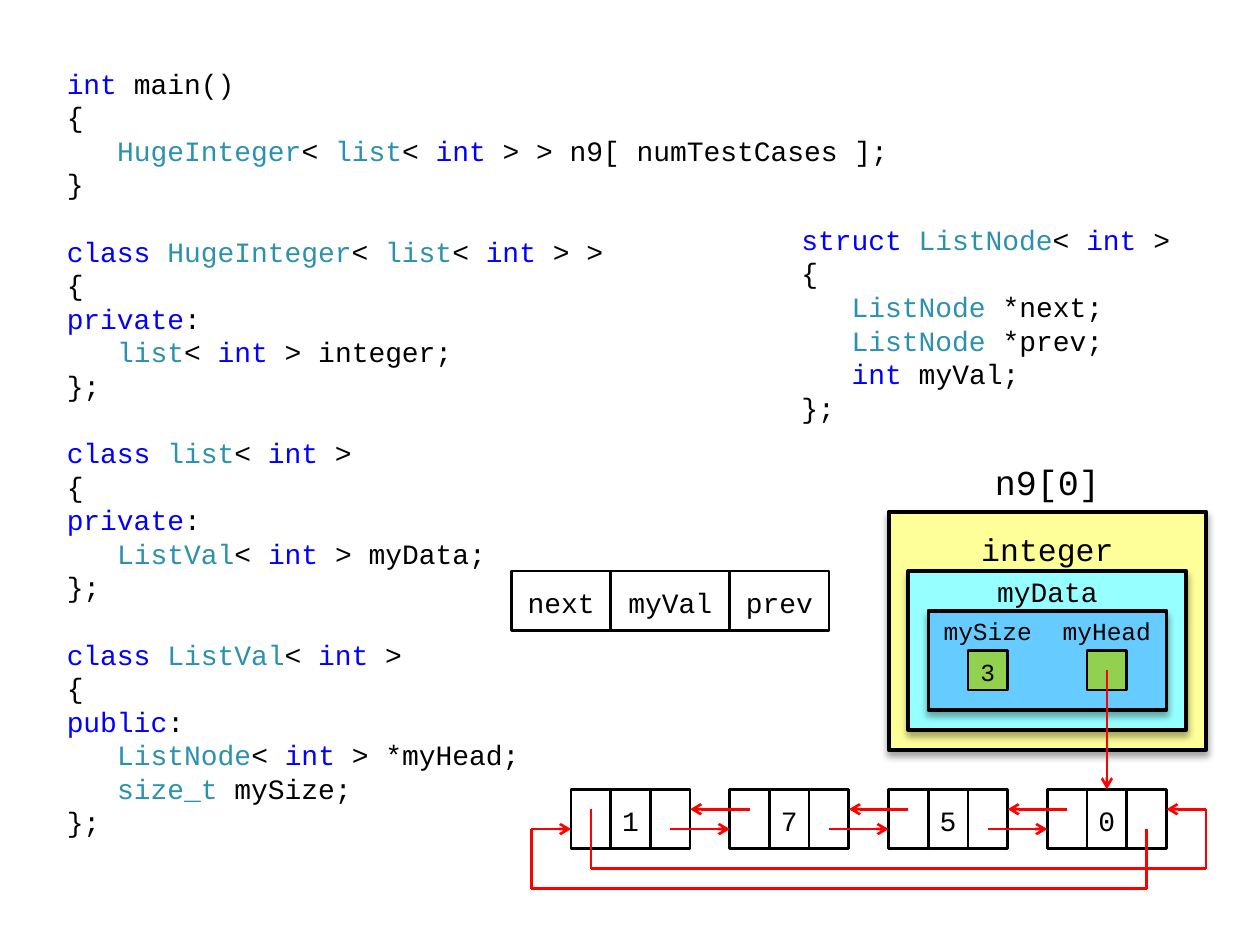
from dataclasses import dataclass
from itertools import groupby, pairwise

from lxml.etree import SubElement
from pptx import Presentation
from pptx.dml.color import RGBColor as Rgb
from pptx.enum.shapes import MSO_CONNECTOR as Connector, MSO_SHAPE as Shape
from pptx.enum.text import MSO_ANCHOR as Anchor, MSO_AUTO_SIZE as AutoSize, PP_ALIGN as Align
from pptx.oxml.ns import qn
from pptx.util import Inches, Pt


@dataclass(frozen=True)
class Theme:
    font: str = "Courier New"
    black: str = "000000"
    keyword: str = "0000FF"
    type_name: str = "2B91AF"
    arrow: str = "FF0000"
    yellow: str = "FFFF99"
    cyan: str = "96FFFF"
    blue: str = "66CCFF"
    green: str = "92D050"
    title_size: float = 20
    member_size: float = 18
    code_size: float = 16
    small_size: float = 14
    code_spacing: float = 19.2


theme = Theme()


def write(para, text, *, size=theme.code_size, color=theme.black, align=None):
    """Add one formatted span to a paragraph."""
    if align is not None:
        para.alignment = align
    span = para.add_run()
    span.text = text
    span.font.name = theme.font
    span.font.size = Pt(size)
    span.font.color.rgb = Rgb.from_string(color)


deck = Presentation()
deck.slide_width, deck.slide_height = Inches(10), Inches(7.5)
page = deck.slides.add_slide(deck.slide_layouts[3])
title = page.shapes.title
title.element.getparent().remove(title.element)

# Code listings: a blank line starts a new group, three spaces mark an indent
main_code = """int main()
{
   HugeInteger< list< int > > n9[ numTestCases ];
}

class HugeInteger< list< int > >
{
private:
   list< int > integer;
};

class list< int >
{
private:
   ListVal< int > myData;
};

class ListVal< int >
{
public:
   ListNode< int > *myHead;
   size_t mySize;
};"""
node_code = """struct ListNode< int >
{
   ListNode *next;
   ListNode *prev;
   int myVal;
};"""
word_colors = dict.fromkeys(["int", "class", "struct", "private", "public"], theme.keyword)
word_colors |= dict.fromkeys(["HugeInteger", "list", "ListVal", "ListNode", "size_t"],
                             theme.type_name)
listings = [(1, main_code, 0.43, 0.44, 6.77, 6.3), (2, node_code, 6.26, 1.7, 3.15, 1.73)]

for index, code, *place in listings:
    box = page.placeholders[index]
    box.left, box.top, box.width, box.height = map(Inches, place)
    frame = box.text_frame
    frame.word_wrap = True
    frame.auto_size = AutoSize.NONE
    frame.vertical_anchor = Anchor.MIDDLE
    para, gap = frame.paragraphs[0], 0
    for number, line in enumerate(code.splitlines()):
        if not line:
            gap = theme.code_spacing
            continue
        if number:
            para = frame.add_paragraph()
        para.line_spacing = Pt(theme.code_spacing)
        para.space_before, para.space_after = Pt(gap), Pt(0)
        gap = 0
        properties = para._p.get_or_add_pPr()
        properties.set("marL", str(Inches(0.4) if line.startswith(" ") else 0))
        properties.set("indent", "0")
        SubElement(properties, qn("a:buNone"))
        # Split into words and punctuation, then join neighbours of one colour
        tokens = ["".join(chars) for _, chars in
                  groupby(line.strip(), lambda char: char.isalnum() or char == "_")]
        for color, words in groupby(tokens, lambda word: word_colors.get(word, theme.black)):
            write(para, "".join(words), color=color)

# The diagram sits on a square grid; all its places below are in grid units
origin, unit = Inches(4.06), Inches(1.26 / 8)

# Nested objects: x, y, width, height, fill, line width
objects = [
    (19, 0, 16, 12, theme.yellow, 2.25),
    (20, 3, 14, 8, theme.cyan, 2.25),
    (21, 5, 12, 5, theme.blue, 2),
]
# Cells: x, y, width, height, fill, text, size
cells = [
    (29, 7, 2, 2, theme.green, "", theme.small_size),
    (23, 7, 2, 2, theme.green, "3", theme.small_size),
    (0, 3, 5, 3, None, "next", theme.code_size),
    (5, 3, 6, 3, None, "myVal", theme.code_size),
    (11, 3, 5, 3, None, "prev", theme.code_size),
]
node_values = "1750"
for node, value in enumerate(node_values):
    cells += [(3 + 8 * node + 2 * part, 14, 2, 3, None, text, theme.code_size)
              for part, text in enumerate(["", value, ""])]

boxes = [(*item[:5], "", theme.code_size, item[5], True) for item in objects]
boxes += [(*item, 1.5, False) for item in cells]
for x, y, width, height, fill, text, size, line_width, has_shadow in boxes:
    preset = Shape.FLOWCHART_PROCESS if has_shadow else Shape.RECTANGLE
    box = page.shapes.add_shape(preset, origin + x * unit, origin + y * unit,
                                width * unit, height * unit)
    if fill:
        box.fill.solid()
        box.fill.fore_color.rgb = Rgb.from_string(fill)
    else:
        box.fill.background()
    box.line.color.rgb = Rgb.from_string(theme.black)
    box.line.width = Pt(line_width)
    box.shadow.inherit = False
    if has_shadow:
        effects = box._element.spPr.find(qn("a:effectLst"))
        shadow = SubElement(effects, qn("a:outerShdw"), blurRad=str(Pt(4)), dist=str(Pt(3)),
                            dir="5400000", rotWithShape="0")
        shade = SubElement(shadow, qn("a:srgbClr"), val=theme.black)
        SubElement(shade, qn("a:alpha"), val="35000")
    if text:
        frame = box.text_frame
        frame.vertical_anchor = Anchor.MIDDLE
        frame.margin_left = frame.margin_right = Inches(0.02)
        frame.margin_top, frame.margin_bottom = Inches(0.06), Inches(0.04)
        write(frame.paragraphs[0], text, size=size, align=Align.CENTER)
    if text == "0":
        head_cell = box

# Labels: x, y, width, height, text, size, top and bottom inset
labels = [
    (23, -3, 8, 3, "n9[0]", theme.title_size, 0.05, 0.05),
    (23, 0, 8, 3, "integer", theme.member_size, 0.12, 0),
    (23, 3, 8, 2, "myData", theme.code_size, 0, 0),
    (21, 5, 6, 2, "mySize", theme.small_size, 0.05, 0.05),
    (27, 5, 6, 2, "myHead", theme.small_size, 0.05, 0.05),
]
for x, y, width, height, text, size, top, bottom in labels:
    box = page.shapes.add_textbox(origin + x * unit, origin + y * unit,
                                  width * unit, height * unit)
    frame = box.text_frame
    frame.word_wrap = True
    frame.vertical_anchor = Anchor.MIDDLE
    frame.margin_left = frame.margin_right = Inches(0.04)
    frame.margin_top, frame.margin_bottom = Inches(top), Inches(bottom)
    write(frame.paragraphs[0], text, size=size, align=Align.CENTER)

# Pointers: each route ends in an arrowhead
head_route = [(30, 8), (30, 14)]
routes = [
    head_route,
    [(32, 16), (32, 19), (1, 19), (1, 16), (3, 16)],
    [(4, 15), (4, 18), (35, 18), (35, 15), (33, 15)],
]
for node in range(len(node_values) - 1):
    left = 8 * node
    routes += [[(left + 12, 15), (left + 9, 15)], [(left + 8, 16), (left + 11, 16)]]

for route in routes:
    for start, end in pairwise(route):
        pointer = page.shapes.add_connector(
            Connector.STRAIGHT, *(origin + place * unit for place in (*start, *end)))
        pointer.line.color.rgb = Rgb.from_string(theme.arrow)
        pointer.line.width = Pt(1.5)
        SubElement(pointer._element.spPr, qn("a:effectLst"))
        if end == route[-1]:
            SubElement(pointer.line._get_or_add_ln(), qn("a:tailEnd"), type="arrow")
        if route is head_route:
            pointer.end_connect(head_cell, 0)

deck.save("out.pptx")
